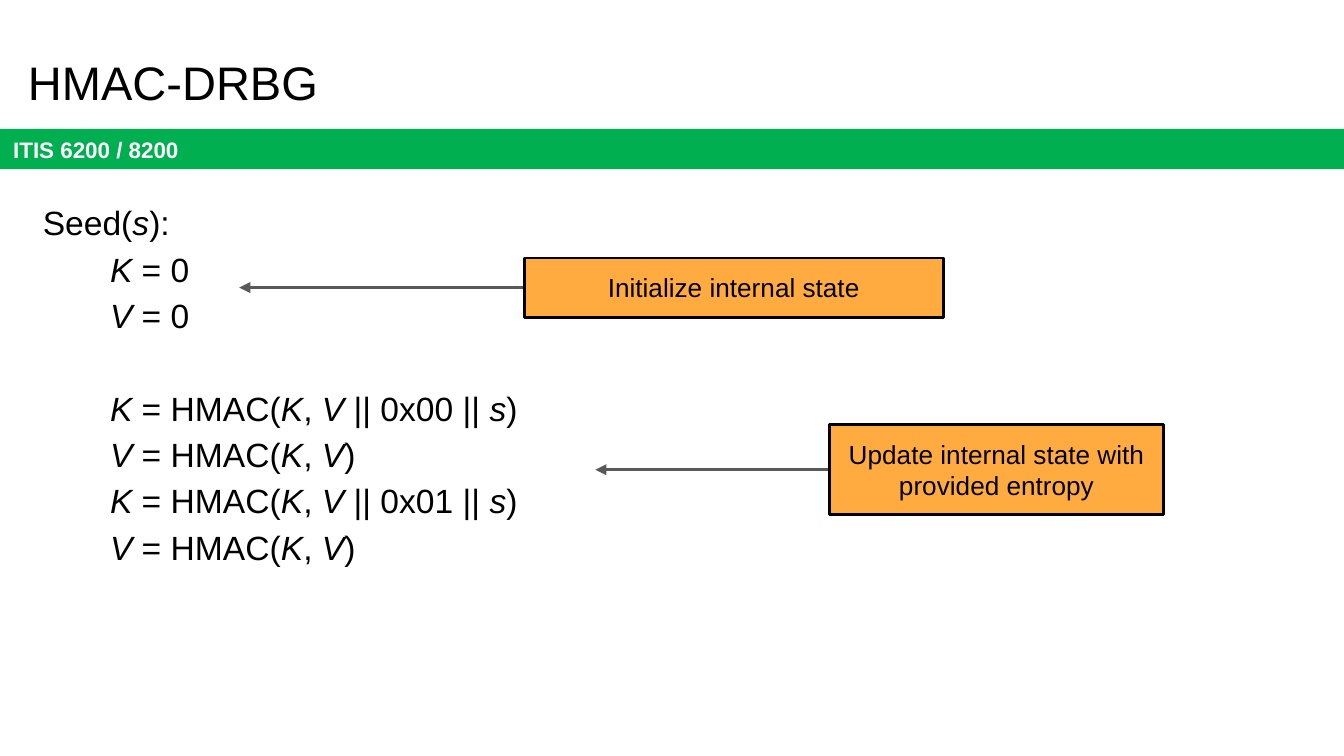
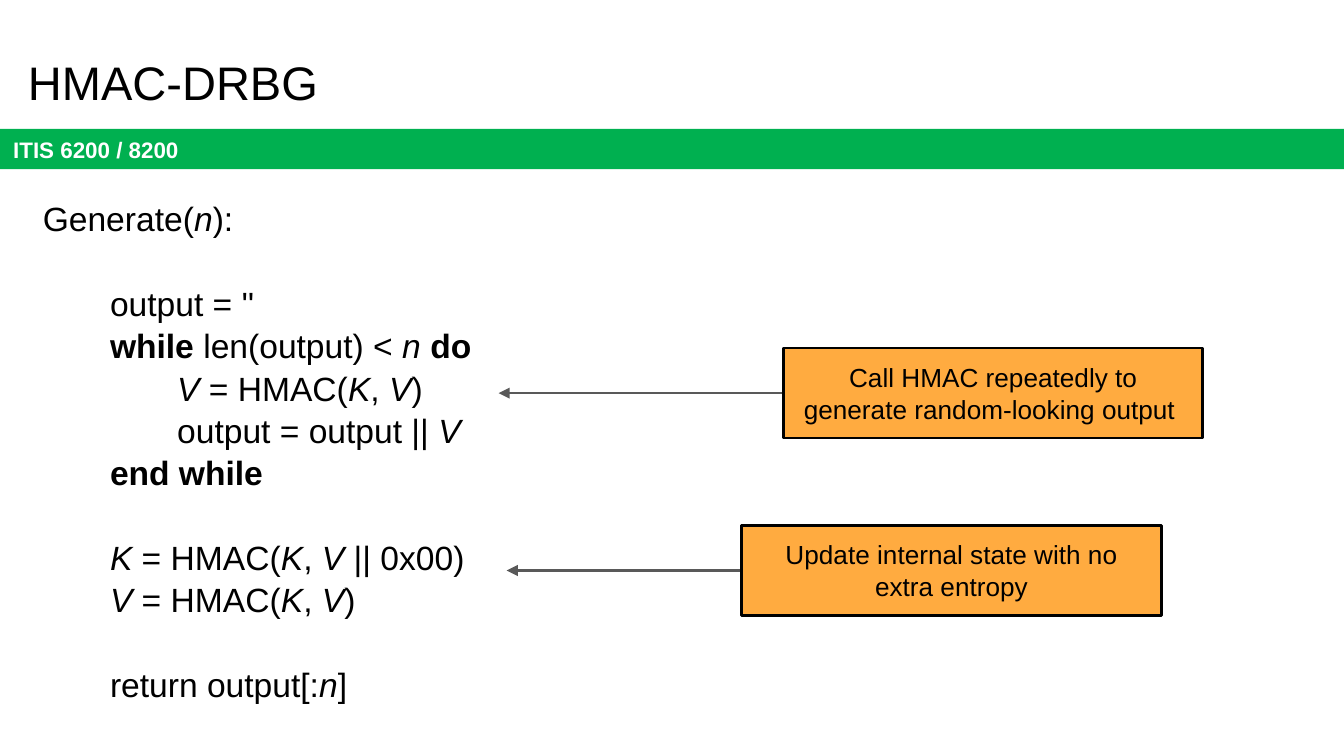
from lxml import etree
from pptx import Presentation
from pptx.dml.color import RGBColor
from pptx.enum.shapes import MSO_CONNECTOR as Connector, MSO_SHAPE as Shape
from pptx.enum.text import MSO_ANCHOR as Anchor, PP_ALIGN as Align
from pptx.oxml.ns import qn
from pptx.util import Inches, Pt

COLORS = {name: RGBColor.from_string(value) for name, value in {
    "band": "00B050", "callout": "FFAB40", "arrow": "595959",
    "text": "000000", "white": "FFFFFF"}.items()}
FONT = "Arial"
CODE_SIZE = 18
CODE_INDENT = 0.5
LINE_HEIGHT = 1.2  # height of a single-spaced line, relative to the font size

# Code lines: (indent level, blank lines before, text); *italic*, ^bold^
# Callouts: (left, top, width, height, arrow tip, text)
SLIDES = [
    {
        "line_spacing": 1.15,
        "code": [
            (0, 0, "Seed(*s*):"),
            (1, 0, "*K* = 0"),
            (1, 0, "*V* = 0"),
            (1, 1, "*K* = HMAC(*K*, *V* || 0x00 || *s*)"),
            (1, 0, "*V* = HMAC(*K*, *V*)"),
            (1, 0, "*K* = HMAC(*K*, *V* || 0x01 || *s*)"),
            (1, 0, "*V* = HMAC(*K*, *V*)"),
        ],
        "callouts": [
            (3.9, 1.92, 3.12, 0.44, 1.78, "Initialize internal state"),
            (6.17, 3.16, 2.49, 0.67, 4.43, "Update internal state with provided entropy"),
        ],
    },
    {
        "line_spacing": 1.05,
        "code": [
            (0, 0, "Generate(*n*):"),
            (1, 1, "output = ''"),
            (1, 0, "^while ^len(output) < *n *^do^"),
            (2, 0, "*V* = HMAC(*K*, *V*)"),
            (2, 0, "output = output || *V*"),
            (1, 0, "^end while^"),
            (1, 1, "*K* = HMAC(*K*, *V* || 0x00)"),
            (1, 0, "*V* = HMAC(*K*, *V*)"),
            (1, 1, "return output[:*n*]"),
        ],
        "callouts": [
            (5.83, 2.59, 3.12, 0.67, 3.71, "Call HMAC repeatedly to generate random-looking output "),
            (5.52, 3.91, 3.12, 0.67, 3.77, "Update internal state with no extra entropy"),
        ],
    },
]


def set_up_frame(shape, anchor):
    frame = shape.text_frame
    frame.word_wrap = True
    frame.vertical_anchor = anchor
    frame.margin_left = frame.margin_right = Inches(0.1)
    frame.margin_top = frame.margin_bottom = Inches(0.1)
    return frame


def style_paragraph(paragraph, size, color="text", bold=False, align=Align.LEFT):
    paragraph.alignment = align
    font = paragraph.font
    font.name, font.size, font.bold = FONT, Pt(size), bold
    font.color.rgb = COLORS[color]


presentation = Presentation()
presentation.slide_width = Inches(10)
presentation.slide_height = presentation.slide_width * 9 // 16

for content in SLIDES:
    slide = presentation.slides.add_slide(presentation.slide_layouts[6])

    band = slide.shapes.add_shape(
        Shape.RECTANGLE, 0, Inches(0.96), presentation.slide_width, Inches(0.3))
    band.shadow.inherit = False
    band.fill.solid()
    band.fill.fore_color.rgb = COLORS["band"]
    band.line.fill.background()
    paragraph = set_up_frame(band, Anchor.MIDDLE).paragraphs[0]
    paragraph.text = "ITIS 6200 / 8200"
    style_paragraph(paragraph, 12, "white", bold=True)

    title = slide.shapes.add_textbox(Inches(0.11), Inches(0.3), Inches(9.32), Inches(0.63))
    paragraph = set_up_frame(title, Anchor.TOP).paragraphs[0]
    paragraph.text = "HMAC-DRBG"
    style_paragraph(paragraph, 25.2)

    code = slide.shapes.add_textbox(Inches(0.22), Inches(1.36), Inches(5.62), Inches(4.12))
    frame = set_up_frame(code, Anchor.TOP)
    line_pitch = CODE_SIZE * LINE_HEIGHT * content["line_spacing"]
    for number, (level, blank_lines, text) in enumerate(content["code"]):
        paragraph = frame.add_paragraph() if number else frame.paragraphs[0]
        paragraph.line_spacing = content["line_spacing"]
        if blank_lines:
            paragraph.space_before = Pt(round(blank_lines * line_pitch, 1))
        paragraph._p.get_or_add_pPr().set("marL", str(Inches(level * CODE_INDENT)))
        style_paragraph(paragraph, CODE_SIZE)
        for i, part in enumerate(text.split("*")):
            for j, piece in enumerate(part.split("^")):
                if piece:
                    run = paragraph.add_run()
                    run.text = piece
                    run.font.italic = i % 2 == 1
                    run.font.bold = j % 2 == 1

    for left, top, width, height, tip, text in content["callouts"]:
        group = slide.shapes.add_group_shape()
        middle = Inches(top + height / 2)
        arrow = group.shapes.add_connector(
            Connector.STRAIGHT, Inches(left), middle, Inches(tip), middle)
        arrow.line.color.rgb = COLORS["arrow"]
        arrow.line.width = Pt(1.5)
        etree.SubElement(arrow.line._get_or_add_ln(), qn("a:tailEnd"), type="triangle")
        etree.SubElement(arrow._element.spPr, qn("a:effectLst"))

        callout = group.shapes.add_shape(
            Shape.RECTANGLE, Inches(left), Inches(top), Inches(width), Inches(height))
        callout.shadow.inherit = False
        callout.fill.solid()
        callout.fill.fore_color.rgb = COLORS["callout"]
        callout.line.color.rgb = COLORS["text"]
        callout.line.width = Pt(1.5)
        paragraph = set_up_frame(callout, Anchor.TOP).paragraphs[0]
        paragraph.text = text
        style_paragraph(paragraph, 14, align=Align.CENTER)

presentation.save("out.pptx")
